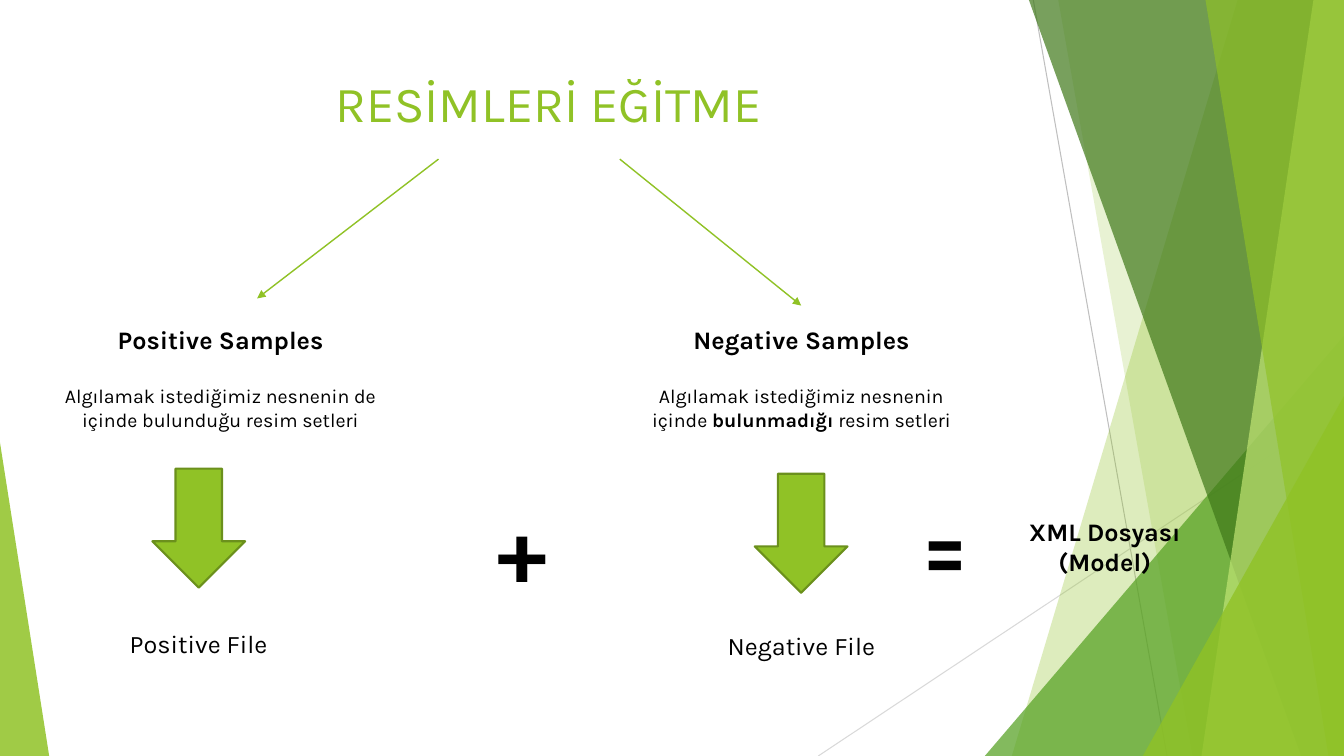
from lxml import etree
from pptx import Presentation
from pptx import util as u
from pptx.dml.color import RGBColor
from pptx.enum import shapes, text
from pptx.oxml.ns import qn

WIDTH, HEIGHT = 33.87, 19.05

BLACK = RGBColor(0x00, 0x00, 0x00)
LIME = RGBColor(0x90, 0xC2, 0x26)
PALE_LIME = RGBColor(0xC0, 0xE4, 0x74)
GREEN = RGBColor(0x54, 0xA0, 0x21)
DARK_GREEN = RGBColor(0x3F, 0x78, 0x19)
OLIVE = RGBColor(0x6B, 0x90, 0x1C)
GREY = RGBColor(0xBF, 0xBF, 0xBF)
LIGHT_GREY = RGBColor(0xD9, 0xD9, 0xD9)


class SlideBuilder:
    """Holds the font and the slide; all lengths are in centimetres."""

    font = "Karla"

    def __init__(self, slide):
        self.shapes = slide.shapes

    def paint(self, shape, color, opacity=100):
        shape.shadow.inherit = False
        shape.fill.solid()
        shape.fill.fore_color.rgb = color
        shape.line.fill.background()
        if opacity < 100:
            tint = shape.element.spPr.find(qn("a:solidFill")).find(qn("a:srgbClr"))
            etree.SubElement(tint, qn("a:alpha")).set("val", str(opacity * 1000))

    def band(self, top_x, bottom_x, color, opacity):
        """Full-height facet reaching from a slanted left edge to the right side."""
        corners = [(WIDTH, 0), (WIDTH, HEIGHT), (bottom_x, HEIGHT)]
        outline = self.shapes.build_freeform(u.Cm(top_x), 0)
        outline.add_line_segments([(u.Cm(x), u.Cm(y)) for x, y in corners])
        self.paint(outline.convert_to_shape(), color, opacity)

    def preset(self, kind, left, top, width, height, color, opacity=100):
        shape = self.shapes.add_shape(
            kind, u.Cm(left), u.Cm(top), u.Cm(width), u.Cm(height))
        self.paint(shape, color, opacity)
        return shape

    def wedge(self, left, top, width, apex, color, opacity):
        """Right triangle standing on the bottom edge; apex 0 is left, 1 is right."""
        shape = self.preset(shapes.MSO_SHAPE.ISOSCELES_TRIANGLE,
                            left, top, width, HEIGHT - top, color, opacity)
        shape.adjustments[0] = apex

    def down_arrow(self, left, top):
        arrow = self.preset(shapes.MSO_SHAPE.DOWN_ARROW, left, top, 2.34, 3, LIME)
        arrow.line.color.rgb = OLIVE
        arrow.line.width = u.Pt(1.5)

    def line(self, start, end, color, weight, arrowhead=False):
        connector = self.shapes.add_connector(
            shapes.MSO_CONNECTOR.STRAIGHT, *[u.Cm(v) for v in start + end])
        connector.line.color.rgb = color
        connector.line.width = u.Pt(weight)
        properties = connector.element.spPr
        if arrowhead:
            tail = etree.SubElement(properties.find(qn("a:ln")), qn("a:tailEnd"))
            tail.set("type", "triangle")
        etree.SubElement(properties, qn("a:effectLst"))

    def label(self, left, top, width, height, paragraphs, color=BLACK):
        """Each paragraph is (size, space before, [(wording, bold), ...])."""
        box = self.shapes.add_textbox(
            u.Cm(left), u.Cm(top), u.Cm(width), u.Cm(height))
        frame = box.text_frame
        frame.word_wrap = True
        frame.text = "\n".join("" for _ in paragraphs)
        for paragraph, (size, gap, pieces) in zip(frame.paragraphs, paragraphs):
            paragraph.alignment = text.PP_ALIGN.CENTER
            paragraph.space_before = u.Pt(gap)
            for wording, bold in pieces:
                run = paragraph.add_run()
                run.text = wording
                run.font.name = self.font
                run.font.size = u.Pt(size)
                run.font.bold = bold
                run.font.color.rgb = color


def main():
    prs = Presentation()
    prs.slide_width, prs.slide_height = u.Cm(WIDTH), u.Cm(HEIGHT)
    page = SlideBuilder(prs.slides.add_slide(prs.slide_layouts[6]))

    # Faceted background
    page.line((26.04, 0), (29.41, HEIGHT), GREY, 0.75)
    page.line((WIDTH, 10.24), (20.62, HEIGHT), LIGHT_GREY, 0.75)
    page.band(31.19, 25.5, LIME, 30)
    page.band(26.67, 30.05, LIME, 20)
    page.wedge(24.82, 8.46, 9.05, 1, GREEN, 72)
    page.band(25.93, 32.79, DARK_GREEN, 70)
    page.band(33.1, 30.28, PALE_LIME, 70)
    page.band(30.38, 33.48, LIME, 65)
    page.wedge(28.8, 9.98, 5.07, 1, LIME, 80)
    page.wedge(0, 11.15, 1.24, 0, LIME, 85)

    # Title and its two branches
    page.label(1.88, 1.7, 23.88, 3.66, [(36, 0, [("RESİMLERİ EĞİTME", False)])], LIME)
    page.line((11.05, 4.01), (6.48, 7.52), LIME, 1, arrowhead=True)
    page.line((15.62, 4.01), (20.19, 7.7), LIME, 1, arrowhead=True)

    # Sample sets, each leading down to its file
    positive = [("Algılamak istediğimiz nesnenin de içinde bulunduğu resim setleri", False)]
    negative = [("Algılamak istediğimiz nesnenin içinde ", False),
                ("bulunmadığı", True), (" resim setleri", False)]
    branches = [
        ("Positive", positive, 1.24, (3.84, 11.81), (2.11, 15.72)),
        ("Negative", negative, 15.88, (19.02, 11.94), (17.3, 15.77)),
    ]
    for name, description, left, arrow_at, file_at in branches:
        page.label(left, 8.05, 8.64, 3,
                   [(18, 0, [(f"{name} Samples", True)]), (14, 21, description)])
        page.down_arrow(*arrow_at)
        page.label(*file_at, 5.79, 1.04, [(18, 0, [(f"{name} File", False)])])

    # Sum of both files gives the model
    page.label(25.1, 12.88, 5.49, 1.8, [(18, 0, [("XML Dosyası (Model)", True)])])
    for sign, left, top in [("=", 20.96, 12.14), ("+", 10.29, 12.22)]:
        page.label(left, top, 5.74, 3.07, [(66, 0, [(sign, True)])])

    prs.save("out.pptx")


if __name__ == "__main__":
    main()
